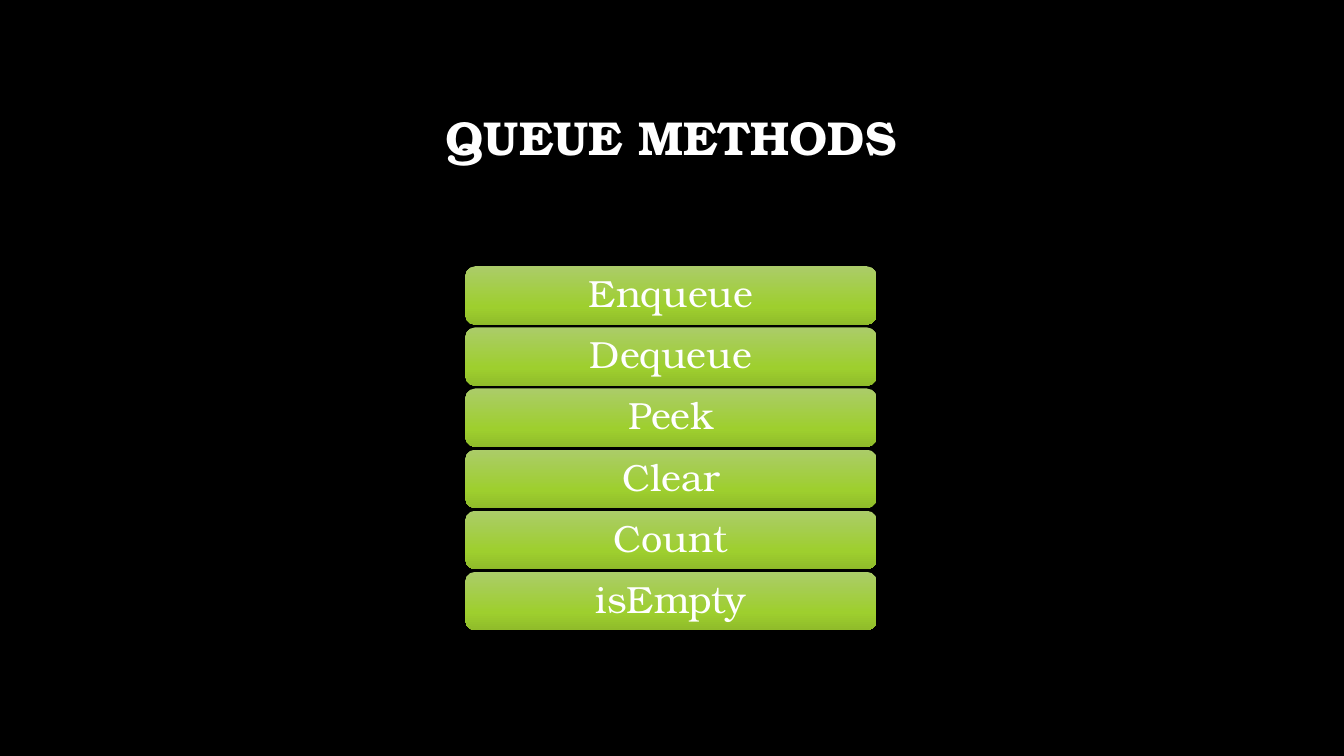
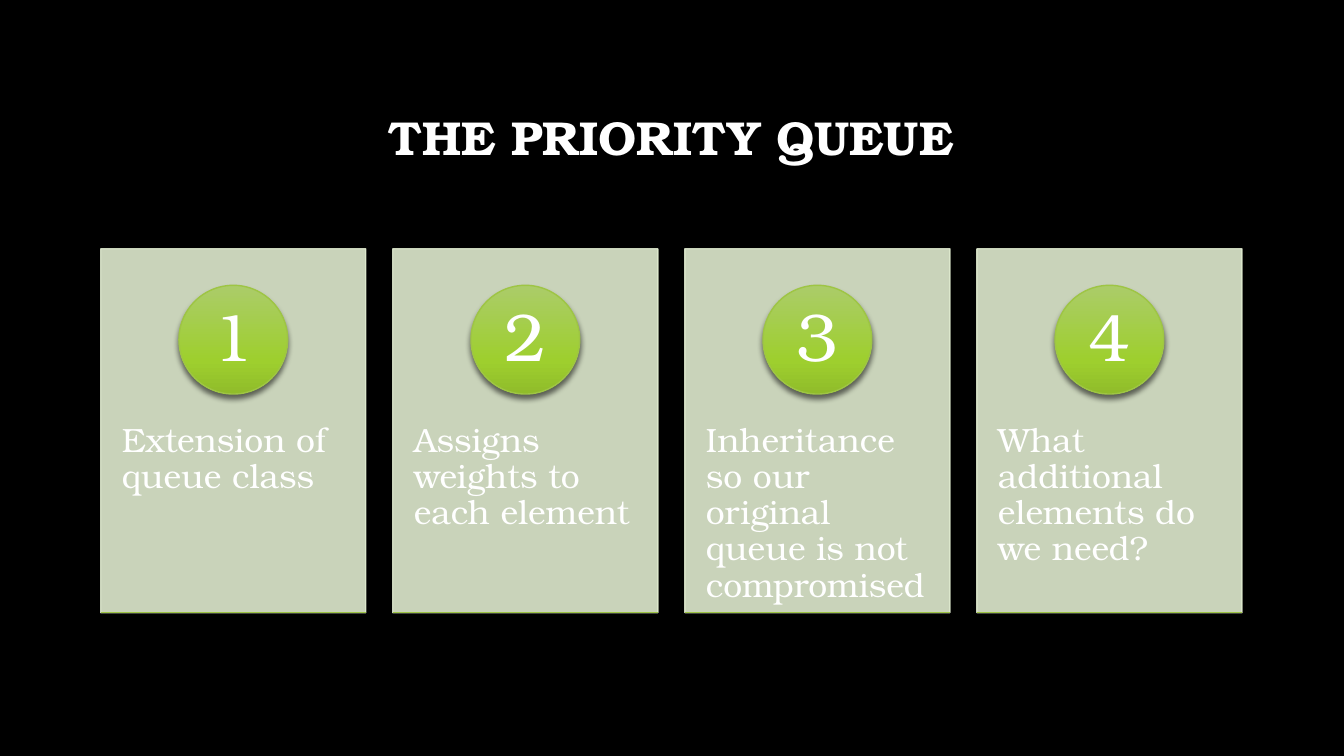
from dataclasses import dataclass

from lxml.etree import SubElement
from pptx import Presentation
from pptx.dml.color import RGBColor
from pptx.enum.shapes import MSO_CONNECTOR, MSO_SHAPE
from pptx.enum.text import MSO_ANCHOR as Anchor, PP_ALIGN as Align
from pptx.oxml.ns import qn
from pptx.util import Cm, Pt

FONT = "TeX Gyre Bonum"
BLACK = RGBColor(0x00, 0x00, 0x00)
WHITE = RGBColor(0xFF, 0xFF, 0xFF)
GREEN = RGBColor(0x9E, 0xC5, 0x44)
PALE_GREEN = RGBColor(0xDF, 0xEA, 0xCF)
GREEN_STOPS = (
    (0, RGBColor(0xAB, 0xCC, 0x69)),
    (69, RGBColor(0x9E, 0xCF, 0x2E)),
    (100, RGBColor(0x90, 0xBC, 0x2A)),
)
OUTLINE = Pt(1)

SLIDE_WIDTH, SLIDE_HEIGHT = Cm(33.87), Cm(19.05)
LEFT = Cm(2.54)

BAR_LEFT, BAR_TOP = Cm(11.73), Cm(6.71)
BAR_WIDTH, BAR_HEIGHT, BAR_GAP = Cm(10.36), Cm(1.47), Cm(0.07)

CARD_TOP, CARD_WIDTH, CARD_HEIGHT, CARD_GAP = Cm(6.27), Cm(6.68), Cm(9.17), Cm(0.68)
BADGE_SIZE, BADGE_OFFSET = Cm(2.74), Cm(0.92)

METHODS = ("Enqueue", "Dequeue", "Peek", "Clear", "Count", "isEmpty")
PRIORITY_POINTS = (
    "Extension of queue class",
    "Assigns weights to each element",
    "Inheritance so our original queue is not compromised",
    "What additional elements do we need?",
)


@dataclass(frozen=True)
class TextStyle:
    size: int
    bold: bool = False
    align: Align = Align.CENTER
    anchor: Anchor = Anchor.MIDDLE
    side_inset: float = 0.25
    top_inset: float = 0.13
    bottom_inset: float = 0.13


@dataclass(frozen=True)
class Shadow:
    """Black shadow falling straight down."""

    opacity: int
    blur: int
    distance: int


TITLE_TEXT = TextStyle(34, bold=True)
BAR_TEXT = TextStyle(27, side_inset=0.28, top_inset=0.15, bottom_inset=0.15)
CARD_TEXT = TextStyle(24, align=Align.LEFT, anchor=Anchor.TOP,
                      side_inset=0.53, top_inset=4.39, bottom_inset=0)
BADGE_TEXT = TextStyle(48, side_inset=0.2, top_inset=0.03, bottom_inset=0.03)
BAR_SHADOW = Shadow(76, 6, 3)
BADGE_SHADOW = Shadow(54, 4, 3)


def write_text(shape, text: str, style: TextStyle) -> None:
    frame = shape.text_frame
    frame.word_wrap = True
    frame.vertical_anchor = style.anchor
    frame.margin_left = frame.margin_right = Cm(style.side_inset)
    frame.margin_top = Cm(style.top_inset)
    frame.margin_bottom = Cm(style.bottom_inset)
    para = frame.paragraphs[0]
    para.alignment = style.align
    para.line_spacing = 0.9
    span = para.add_run()
    span.text = text
    span.font.name = FONT
    span.font.size = Pt(style.size)
    span.font.bold = style.bold
    span.font.color.rgb = WHITE


def set_opacity(color_parent, percent: int) -> None:
    """Set the opacity of every colour below the given element."""
    for color in color_parent.iter(qn("a:srgbClr")):
        SubElement(color, qn("a:alpha"), val=str(percent * 1000))


def fill_green(shape) -> None:
    shape.fill.gradient()
    shape.fill.gradient_angle = 270
    stops = shape._element.spPr.find(qn("a:gradFill")).find(qn("a:gsLst"))
    for old_stop in list(stops):
        stops.remove(old_stop)
    for position, color in GREEN_STOPS:
        stop = SubElement(stops, qn("a:gs"), pos=str(position * 1000))
        SubElement(stop, qn("a:srgbClr"), val=str(color))


def cast_shadow(shape, shadow: Shadow) -> None:
    shape.shadow.inherit = False
    effects = shape._element.spPr.find(qn("a:effectLst"))
    outer = SubElement(effects, qn("a:outerShdw"), blurRad=str(Pt(shadow.blur)),
                       dist=str(Pt(shadow.distance)), dir="5400000",
                       algn="ctr", rotWithShape="0")
    SubElement(outer, qn("a:srgbClr"), val=str(BLACK))
    set_opacity(outer, shadow.opacity)


def add_titled_page(deck, title: str):
    page = deck.slides.add_slide(deck.slide_layouts[6])
    page.background.fill.solid()
    page.background.fill.fore_color.rgb = BLACK
    box = page.shapes.add_textbox(LEFT, Cm(1.7), Cm(28.75), Cm(3.68))
    write_text(box, title, TITLE_TEXT)
    return page


def add_bar(page, top: int, text: str) -> None:
    bar = page.shapes.add_shape(MSO_SHAPE.ROUNDED_RECTANGLE,
                                BAR_LEFT, top, BAR_WIDTH, BAR_HEIGHT)
    fill_green(bar)
    bar.line.fill.background()
    cast_shadow(bar, BAR_SHADOW)
    write_text(bar, text, BAR_TEXT)


def add_card(page, left: int, number: int, text: str) -> None:
    """Draw a pale panel with a numbered badge and a green base line."""
    panel = page.shapes.add_shape(MSO_SHAPE.RECTANGLE,
                                  left, CARD_TOP, CARD_WIDTH, CARD_HEIGHT)
    panel.shadow.inherit = False
    panel.fill.solid()
    panel.fill.fore_color.rgb = PALE_GREEN
    panel.line.color.rgb = PALE_GREEN
    panel.line.width = OUTLINE
    set_opacity(panel._element.spPr, 90)
    write_text(panel, text, CARD_TEXT)

    badge = page.shapes.add_shape(MSO_SHAPE.OVAL,
                                  left + (CARD_WIDTH - BADGE_SIZE) // 2,
                                  CARD_TOP + BADGE_OFFSET, BADGE_SIZE, BADGE_SIZE)
    fill_green(badge)
    badge.line.color.rgb = GREEN
    badge.line.width = OUTLINE
    cast_shadow(badge, BADGE_SHADOW)
    write_text(badge, str(number), BADGE_TEXT)

    bottom = CARD_TOP + CARD_HEIGHT
    base = page.shapes.add_connector(MSO_CONNECTOR.STRAIGHT,
                                     left, bottom, left + CARD_WIDTH, bottom)
    base.line.color.rgb = GREEN
    base.line.width = OUTLINE
    SubElement(base._element.spPr, qn("a:effectLst"))


def add_methods_page(deck) -> None:
    page = add_titled_page(deck, "QUEUE METHODS")
    for index, method in enumerate(METHODS):
        add_bar(page, BAR_TOP + index * (BAR_HEIGHT + BAR_GAP), method)


def add_priority_page(deck) -> None:
    page = add_titled_page(deck, "THE PRIORITY QUEUE")
    for index, point in enumerate(PRIORITY_POINTS):
        add_card(page, LEFT + index * (CARD_WIDTH + CARD_GAP), index + 1, point)


def main() -> None:
    deck = Presentation()
    deck.slide_width, deck.slide_height = SLIDE_WIDTH, SLIDE_HEIGHT
    add_methods_page(deck)
    add_priority_page(deck)
    deck.save("out.pptx")


if __name__ == "__main__":
    main()
